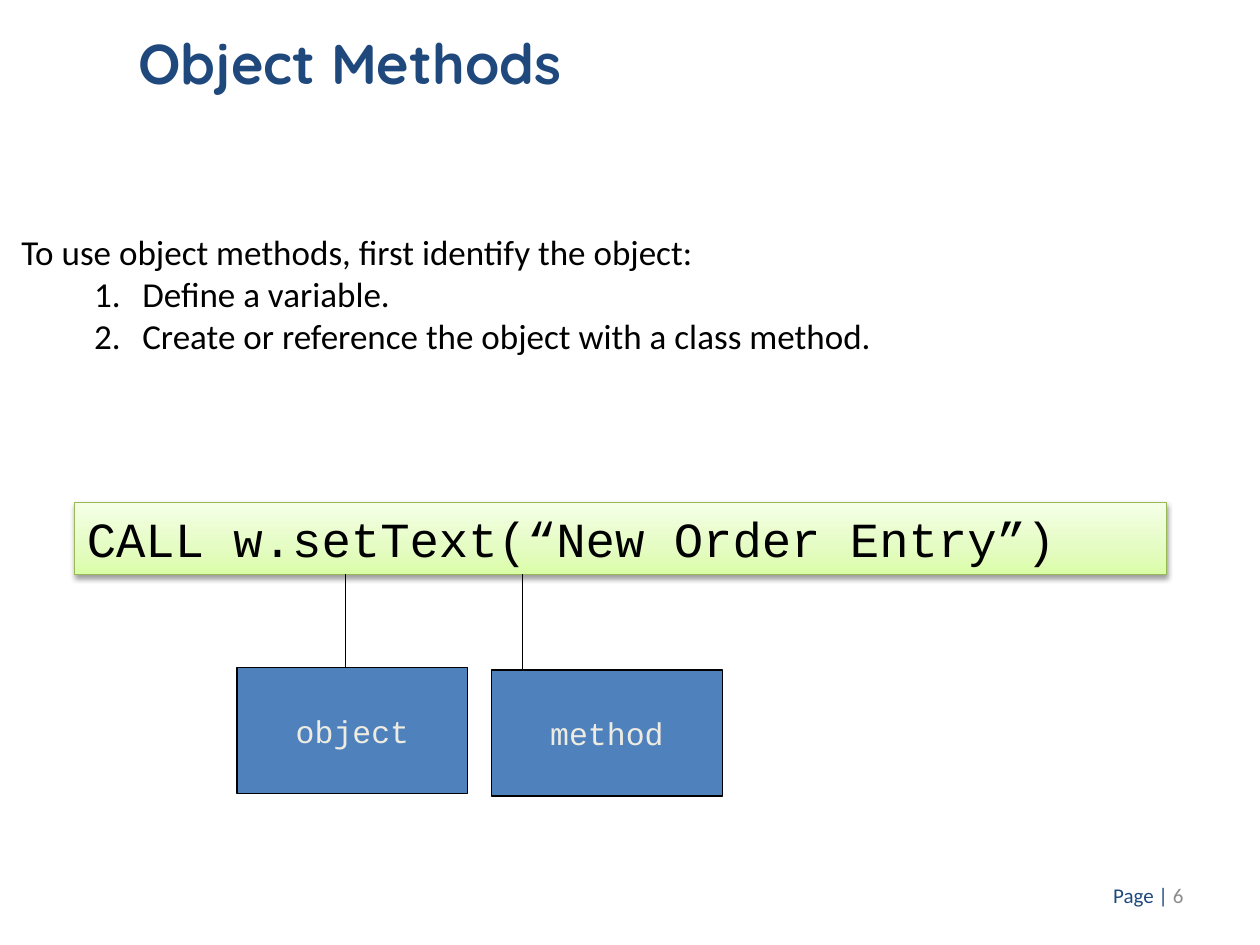
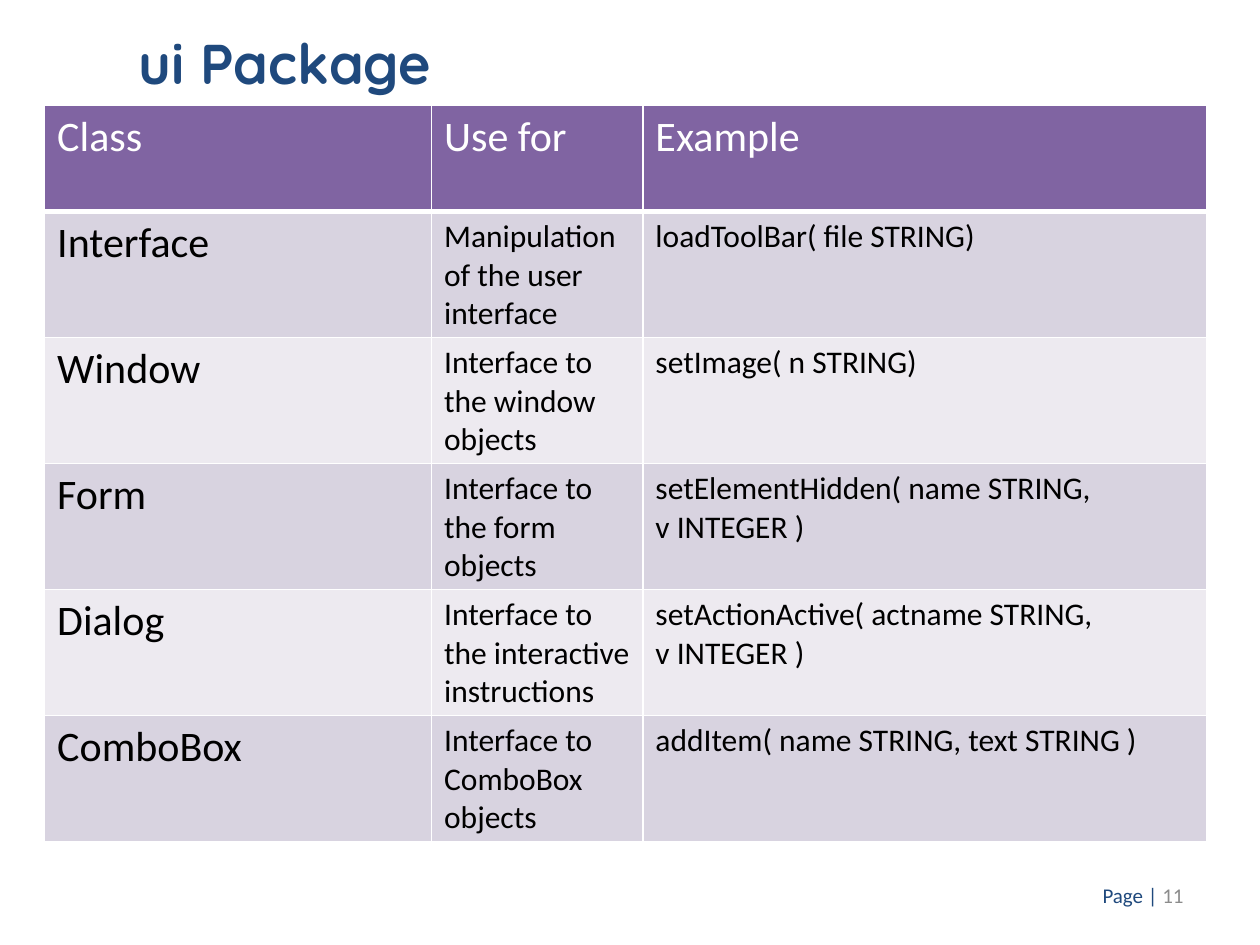
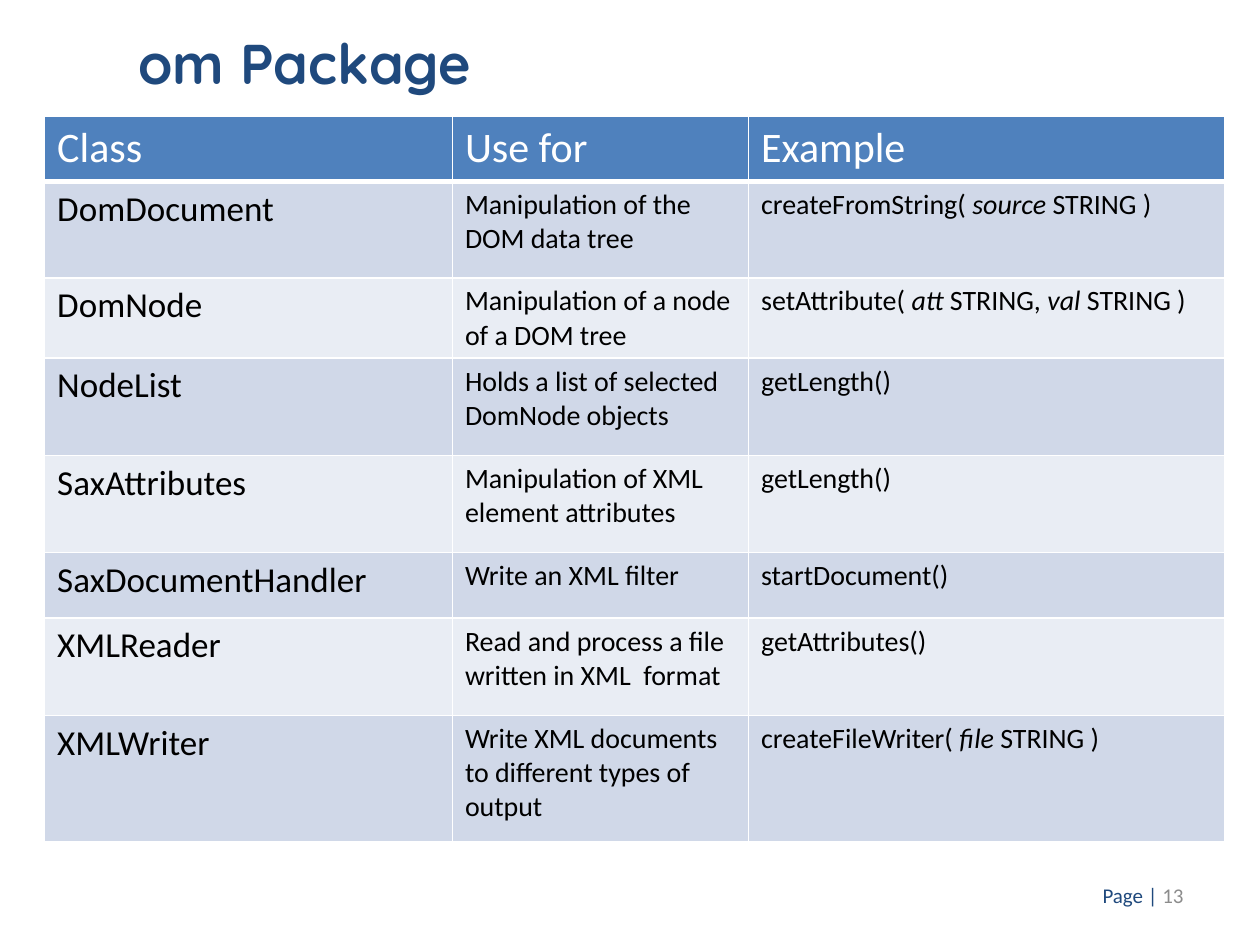
from pptx import Presentation
from pptx.dml.color import RGBColor as RGB
from pptx.enum.shapes import MSO_CONNECTOR as Link, MSO_SHAPE as Shape
from pptx.enum.text import MSO_ANCHOR as Anchor, PP_ALIGN as Align
from pptx.oxml import parse_xml
from pptx.oxml.ns import nsdecls, qn
from pptx.util import Cm, Pt

NAVY = RGB(0x1F, 0x49, 0x7D)
GRAY = RGB(0x8C, 0x8C, 0x8C)
BLACK = RGB(0, 0, 0)
WHITE = RGB(0xFF, 0xFF, 0xFF)
CREAM = RGB(0xEE, 0xEC, 0xE1)
BLUE = RGB(0x4F, 0x81, 0xBD)
BLUES = BLUE, RGB(0xD0, 0xD8, 0xE8), RGB(0xE9, 0xED, 0xF4)
PLUMS = RGB(0x80, 0x64, 0xA2), RGB(0xD8, 0xD3, 0xE0), RGB(0xED, 0xEA, 0xF0)
GREEN = RGB(0x98, 0xB9, 0x55)
LIMES = (
    (0, RGB(0xDA, 0xFD, 0xA7)),
    (35, RGB(0xE4, 0xFC, 0xC2)),
    (100, RGB(0xF5, 0xFF, 0xE7)),
)

SANS, MONO, HEAD = "Calibri", "Courier New", "Quicksand"
TITLE = 2.54, 0.46, 17.58, 2.29
FOOT = 18.19, 17.53, 5.92, 1.02
STEPS = 0, 4.45, 22.86, 12.57
CODE = 1.5, 10.13, 22.02, 1.45

UI_ROWS = (
    ("Class", "Use for", "Example"),
    ("Interface", "Manipulation of the user interface",
     "loadToolBar( file STRING)"),
    ("Window", "Interface to the window objects", "setImage( n STRING)"),
    ("Form", "Interface to the form objects",
     "setElementHidden( name STRING, \nv INTEGER )"),
    ("Dialog", "Interface to the interactive instructions",
     "setActionActive( actname STRING, \nv INTEGER )"),
    ("ComboBox", "Interface to ComboBox objects",
     "addItem( name STRING, text STRING )"),
)
OM_ROWS = (
    ("Class", "Use for", "Example"),
    ("DomDocument", "Manipulation of the DOM data tree",
     "createFromString( *source* STRING )"),
    ("DomNode", "Manipulation of a node of a DOM tree",
     "setAttribute( *att* STRING, *val* STRING )"),
    ("NodeList", "Holds a list of selected DomNode objects", "getLength()"),
    ("SaxAttributes", "Manipulation of XML element attributes",
     "getLength()"),
    ("SaxDocumentHandler", "Write an XML filter", "startDocument()"),
    ("XMLReader", "Read and process a file written in XML  format",
     "getAttributes()"),
    ("XMLWriter", "Write XML documents to different types of output",
     "createFileWriter( *file* STRING )"),
)


def add_run(para, text, size, color, face=SANS, bold=False, slant=False):
    for i, line in enumerate(text.split("\n")):
        if i:
            para.add_line_break()
        run = para.add_run()
        run.text = line
        font = run.font
        font.size, font.name = Pt(size), face
        font.bold, font.italic = bold, slant
        font.color.rgb = color


def add_text(slide, box):
    frame = slide.shapes.add_textbox(*map(Cm, box)).text_frame
    frame.word_wrap = True
    return frame


def add_title(slide, box, text):
    para = add_text(slide, box).paragraphs[0]
    add_run(para, text, 32, NAVY, HEAD, bold=True)


def add_foot(slide, box, page):
    frame = add_text(slide, box)
    frame.vertical_anchor = Anchor.MIDDLE
    para = frame.paragraphs[0]
    para.alignment = Align.RIGHT
    add_run(para, "Page | ", 12, NAVY)
    add_run(para, str(page), 12, GRAY)


def add_steps(slide, box, lead, steps):
    frame = add_text(slide, box)
    frame.margin_left = frame.margin_right = Cm(0.43)
    frame.margin_top = frame.margin_bottom = Cm(0.2)
    add_run(frame.paragraphs[0], lead, 20, BLACK)
    for step in steps:
        para = frame.add_paragraph()
        props = para._p.get_or_add_pPr()
        props.set("marL", str(Cm(2.44)))
        props.set("indent", str(-Cm(0.97)))
        props.append(parse_xml(
            f'<a:buAutoNum {nsdecls("a")} type="arabicPeriod"/>'))
        add_run(para, step, 20, BLACK)


def add_rect(slide, box, edge, text, size, color):
    rect = slide.shapes.add_shape(Shape.RECTANGLE, *map(Cm, box))
    rect.shadow.inherit = False
    rect.line.color.rgb = edge
    rect.line.width = Pt(0.75)
    add_run(rect.text_frame.paragraphs[0], text, size, color, MONO)
    return rect


def add_glow(rect):
    stops = "".join(
        f'<a:gs pos="{at * 1000}"><a:srgbClr val="{color}"/></a:gs>'
        for at, color in LIMES)
    props = rect._element.spPr
    props.insert(2, parse_xml(
        f'<a:gradFill {nsdecls("a")} rotWithShape="1"><a:gsLst>{stops}'
        '</a:gsLst><a:lin ang="16200000" scaled="0"/></a:gradFill>'))
    props.find(qn("a:effectLst")).append(parse_xml(
        f'<a:outerShdw {nsdecls("a")} blurRad="40000" dist="20000" '
        'dir="5400000" rotWithShape="0"><a:srgbClr val="000000">'
        '<a:alpha val="38000"/></a:srgbClr></a:outerShdw>'))


def add_line(slide, x, top, end):
    line = slide.shapes.add_connector(
        Link.STRAIGHT, Cm(x), Cm(end), Cm(x), Cm(top))
    line.line.color.rgb = BLACK
    line.line.width = Pt(0.75)
    line._element.spPr.append(parse_xml(f'<a:effectLst {nsdecls("a")}/>'))


def add_code(slide, box, text, tags):
    left, top, wide, high = box
    bar = add_rect(slide, box, GREEN, text, 28, BLACK)
    add_glow(bar)
    bar.text_frame.word_wrap = True
    bar.text_frame.vertical_anchor = Anchor.TOP
    bar.text_frame.paragraphs[0].alignment = Align.LEFT
    base = top + high
    for name, x, drop, stem in tags:
        spot = left + x, base + drop, 4.65, 2.54
        tag = add_rect(slide, spot, BLACK, name, 18, CREAM)
        tag.fill.solid()
        tag.fill.fore_color.rgb = BLUE
        tag.text_frame.word_wrap = False
        tag.text_frame.paragraphs[0].alignment = Align.CENTER
        add_line(slide, left + stem, base, base + drop)


def add_cell(cell, text, size, color, fill, foot):
    props = cell._tc.get_or_add_tcPr()
    for side in "LRTB":
        width = Pt(foot if side == "B" else 1)
        props.append(parse_xml(
            f'<a:ln{side} {nsdecls("a")} w="{width}"><a:solidFill>'
            f'<a:srgbClr val="{WHITE}"/></a:solidFill></a:ln{side}>'))
    cell.fill.solid()
    cell.fill.fore_color.rgb = fill
    para = cell.text_frame.paragraphs[0]
    for i, part in enumerate(text.split("*")):
        add_run(para, part, size, color, slant=i % 2 == 1)


def add_grid(slide, left, top, cols, highs, rows, tones, sizes):
    box = left, top, sum(cols), sum(highs)
    grid = slide.shapes.add_table(len(rows), len(cols), *map(Cm, box)).table
    grid.first_row = grid.horz_banding = False
    for col, wide in zip(grid.columns, cols):
        col.width = Cm(wide)
    for r, (row, high) in enumerate(zip(rows, highs)):
        grid.rows[r].height = Cm(high)
        fill = tones[2 - r % 2] if r else tones[0]
        for c, text in enumerate(row):
            size = sizes[min(c, 1)] if r else 24
            add_cell(grid.cell(r, c), text, size, BLACK if r else WHITE,
                     fill, 1 if r else 3)


def add_page(deck, title, page):
    slide = deck.slides.add_slide(deck.slide_layouts[6])
    add_foot(slide, FOOT, page)
    add_title(slide, TITLE, title)
    return slide


def main():
    deck = Presentation()
    deck.slide_width, deck.slide_height = Cm(25.4), Cm(19.05)

    slide = add_page(deck, "Object Methods", 6)
    add_steps(slide, STEPS, "To use object methods, first identify the object:", (
        "Define a variable.",
        "Create or reference the object with a class method."))
    add_code(slide, CODE, "CALL w.setText(“New Order Entry”)", (
        ("object", 3.28, 1.88, 5.46),
        ("method", 8.41, 1.93, 9.04)))

    slide = add_page(deck, "ui Package", 11)
    add_grid(slide, 0.9, 2.13, (7.8, 4.26, 11.36), [2.13] + [2.54] * 5,
             UI_ROWS, PLUMS, (24, 18))

    slide = add_page(deck, "om Package", 13)
    add_grid(slide, 0.9, 2.34, (8.22, 5.97, 9.6),
             (1.32, 1.94, 1.62, 1.96, 1.96, 1.32, 1.96, 2.54),
             OM_ROWS, BLUES, (20, 16))

    deck.save("out.pptx")


if __name__ == "__main__":
    main()
